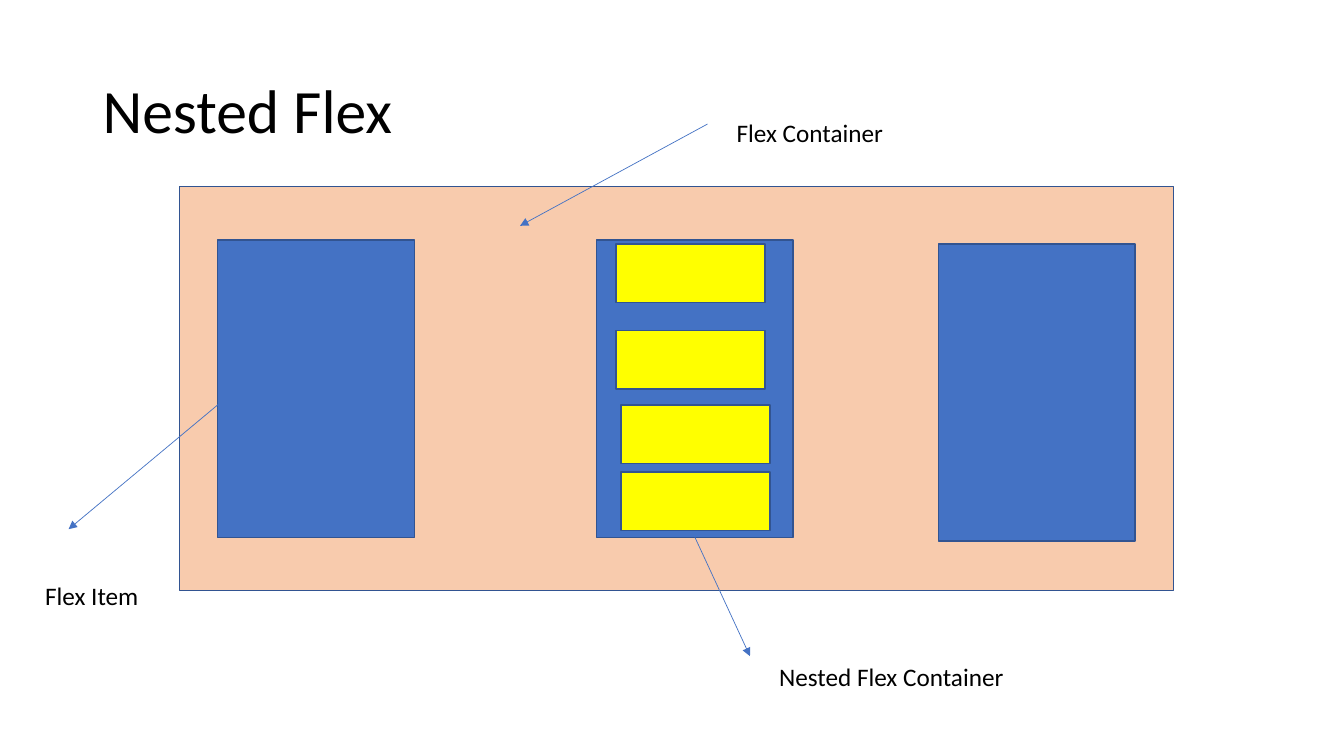
from pptx import Presentation
from pptx.dml.color import RGBColor
from pptx.enum import shapes, text
from pptx.oxml.ns import qn
from pptx.util import Pt
from lxml import etree

# Content: positions and sizes in points
TITLE = ("Nested Flex", (66.24, 28.8, 828, 104.4))
CONTAINER = (128.2, 133.2, 709.9, 288.7)
ITEM_SIZE = (140.4, 212.4)
ITEMS = [(155.5, 171.4), (426.2, 171.4), (670.3, 174.2)]
NESTED_SIZE = (106.6, 41.8)
NESTED_ITEMS = [(439.9, 174.2), (439.9, 236.2), (443.5, 289.4), (443.5, 337)]
LABEL_HEIGHT = 29
LABELS = [  # wording, left, top, width
    ("Flex Container", 519.1, 80.6, 120.2),
    ("Flex Item", 25.2, 411.1, 82.1),
    ("Nested Flex Container", 549.4, 468.7, 176.4),
]
CONTAINER_ARROW = ((505.4, 88.6), (371.5, 161.3))
ITEM_ARROW = ((165.6, 280.8), (49, 378))
NESTED_ARROW_END = (535.7, 468.7)

THEME = {
    "font": "Calibri",
    "title_size": 44,
    "label_size": 18,
    "text": RGBColor.from_string("000000"),
    "container": RGBColor.from_string("F8CBAD"),
    "item": RGBColor.from_string("4472C4"),
    "nested": RGBColor.from_string("FFFF00"),
    "outline": RGBColor.from_string("325491"),
    "arrow": RGBColor.from_string("4472C4"),
}

presentation = Presentation()
presentation.slide_width, presentation.slide_height = Pt(960), Pt(540)
slide = presentation.slides.add_slide(presentation.slide_layouts[6])


def points(values):
    return [Pt(value) for value in values]


def add_box(position, size, fill):
    shape = slide.shapes.add_shape(
        shapes.MSO_SHAPE.RECTANGLE, *points(position + size))
    shape.shadow.inherit = False
    shape.fill.solid()
    shape.fill.fore_color.rgb = THEME[fill]
    shape.line.color.rgb = THEME["outline"]
    shape.line.width = Pt(1)
    return shape


def add_text(wording, frame, size, wrap=False):
    text_frame = slide.shapes.add_textbox(*points(frame)).text_frame
    text_frame.word_wrap = wrap
    text_frame.text = wording
    font = text_frame.paragraphs[0].runs[0].font
    font.name, font.size = THEME["font"], Pt(THEME[size])
    font.color.rgb = THEME["text"]
    return text_frame


def add_arrow(start, end):
    connector = slide.shapes.add_connector(
        shapes.MSO_CONNECTOR.STRAIGHT, *points(start + end))
    connector.line.color.rgb = THEME["arrow"]
    connector.line.width = Pt(0.5)
    head = etree.SubElement(connector.line._get_or_add_ln(), qn("a:tailEnd"))
    head.set("type", "triangle")
    etree.SubElement(connector._element.spPr, qn("a:effectLst"))
    return connector


# Title
title = add_text(*TITLE, "title_size", wrap=True)
title.vertical_anchor = text.MSO_ANCHOR.MIDDLE
title.paragraphs[0].line_spacing = 0.9

# Container, its items and the nested items
add_box(CONTAINER[:2], CONTAINER[2:], "container")
item_boxes = [add_box(position, ITEM_SIZE, "item") for position in ITEMS]
for position in NESTED_ITEMS:
    add_box(position, NESTED_SIZE, "nested")

# Arrows; the nested one leaves the middle item's bottom side
add_arrow(*CONTAINER_ARROW)
add_arrow(*ITEM_ARROW)
left, top = ITEMS[1]
width, height = ITEM_SIZE
nested_arrow = add_arrow((left + width / 2, top + height), NESTED_ARROW_END)
nested_arrow.begin_connect(item_boxes[1], 2)

# Labels
for wording, left, top, width in LABELS:
    label = add_text(wording, (left, top, width, LABEL_HEIGHT), "label_size")
    label.auto_size = text.MSO_AUTO_SIZE.SHAPE_TO_FIT_TEXT

presentation.save("out.pptx")
